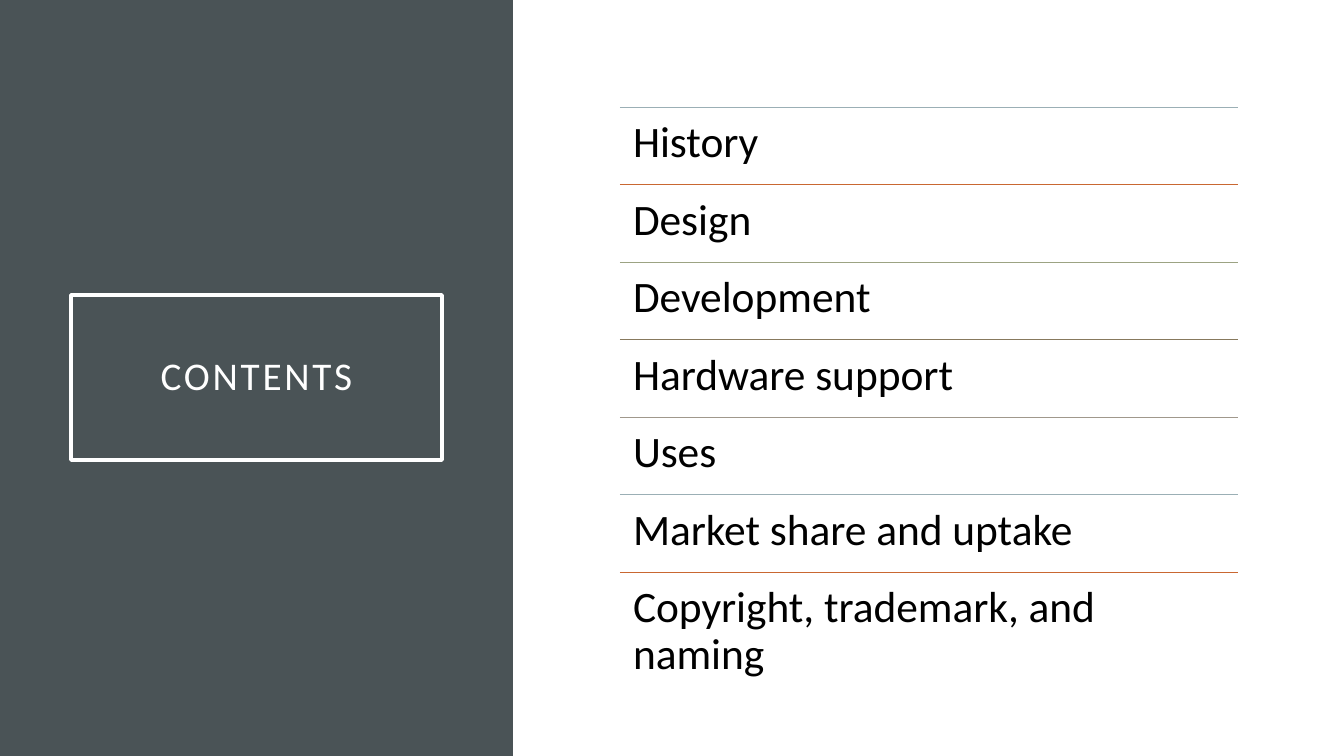
import pptx
import pptx.dml.color
import pptx.enum.shapes
import pptx.enum.text
import pptx.util
from lxml import etree

TITLE = "CONTENTS"
TOPICS = [
    "History",
    "Design",
    "Development",
    "Hardware support",
    "Uses",
    "Market share and uptake",
    "Copyright, trademark, and naming",
]
RULE_COLOURS = ["9BAFB5", "C96731", "9CA383", "87795D", "A0988C"]

SLIDE = (1344, 756)
PANEL = (0, 0, 513, 756)
TITLE_BOX = (71, 295, 371, 165)
LIST_LEFT, LIST_WIDTH = 620, 618
FIRST_RULE, LAST_RULE = 107, 572
TITLE_INSET, TOPIC_INSET = 20, 13

ANCHOR = pptx.enum.text.MSO_ANCHOR
ALIGN = pptx.enum.text.PP_ALIGN
TITLE_FONT = {"size": pptx.util.Pt(28), "name": "Calibri", "bold": False}
TOPIC_FONT = {"size": pptx.util.Pt(31), "name": "Calibri", "bold": False}


def px(length):
    """Turn px into EMU."""
    return round(length * 914400 / 100.8)


def colour(hex_string):
    """Turn a hex string into a colour."""
    return pptx.dml.color.RGBColor.from_string(hex_string)


def set_text(box, text, inset, anchor, align, font, ink):
    """Fill a box with one formatted paragraph."""
    frame = box.text_frame
    frame.text = text
    frame_format = {
        "word_wrap": True,
        "auto_size": pptx.enum.text.MSO_AUTO_SIZE.NONE,
        "vertical_anchor": anchor,
    }
    for side in ("left", "top", "right", "bottom"):
        frame_format["margin_" + side] = px(inset)
    for key, value in frame_format.items():
        setattr(frame, key, value)
    paragraph = frame.paragraphs[0]
    paragraph.alignment = align
    paragraph.line_spacing = 0.9
    run = paragraph.runs[0]
    for key, value in font.items():
        setattr(run.font, key, value)
    run.font.color.rgb = colour(ink)
    return run


def add_title(slide):
    """Place the framed title over the side panel."""
    title = slide.shapes.title
    panel = slide.shapes.add_shape(
        pptx.enum.shapes.MSO_SHAPE.RECTANGLE, *map(px, PANEL))
    panel.shadow.inherit = False
    panel.fill.solid()
    panel.fill.fore_color.rgb = colour("4A5356")
    panel.line.fill.background()
    title._element.addprevious(panel._element)

    for key, value in zip(("left", "top", "width", "height"), TITLE_BOX):
        setattr(title, key, px(value))
    title.line.color.rgb = colour("FFFFFF")
    title.line.width = pptx.util.Pt(2.5)
    run = set_text(title, TITLE, TITLE_INSET, ANCHOR.MIDDLE, ALIGN.CENTER,
                   TITLE_FONT, "FFFFFF")
    run.font._element.set("spc", "200")


def add_topics(slide):
    """Stack the topics at an equal pitch, each under its rule."""
    pitch = (LAST_RULE - FIRST_RULE) / (len(TOPICS) - 1)
    for index, topic in enumerate(TOPICS):
        top = FIRST_RULE + index * pitch
        rule = slide.shapes.add_connector(
            pptx.enum.shapes.MSO_CONNECTOR.STRAIGHT,
            px(LIST_LEFT), px(top), px(LIST_LEFT + LIST_WIDTH), px(top))
        rule.line.color.rgb = colour(RULE_COLOURS[index % len(RULE_COLOURS)])
        rule.line.width = pptx.util.Pt(0.5)
        etree.SubElement(rule._element.spPr, pptx.oxml.ns.qn("a:effectLst"))
        entry = slide.shapes.add_textbox(
            px(LIST_LEFT), px(top), px(LIST_WIDTH), px(pitch))
        set_text(entry, topic, TOPIC_INSET, ANCHOR.TOP, ALIGN.LEFT,
                 TOPIC_FONT, "000000")


def main():
    """Build the contents slide."""
    deck = pptx.Presentation()
    deck.slide_width, deck.slide_height = map(px, SLIDE)
    slide = deck.slides.add_slide(deck.slide_layouts[5])
    add_title(slide)
    add_topics(slide)
    deck.save("out.pptx")


if __name__ == "__main__":
    main()
